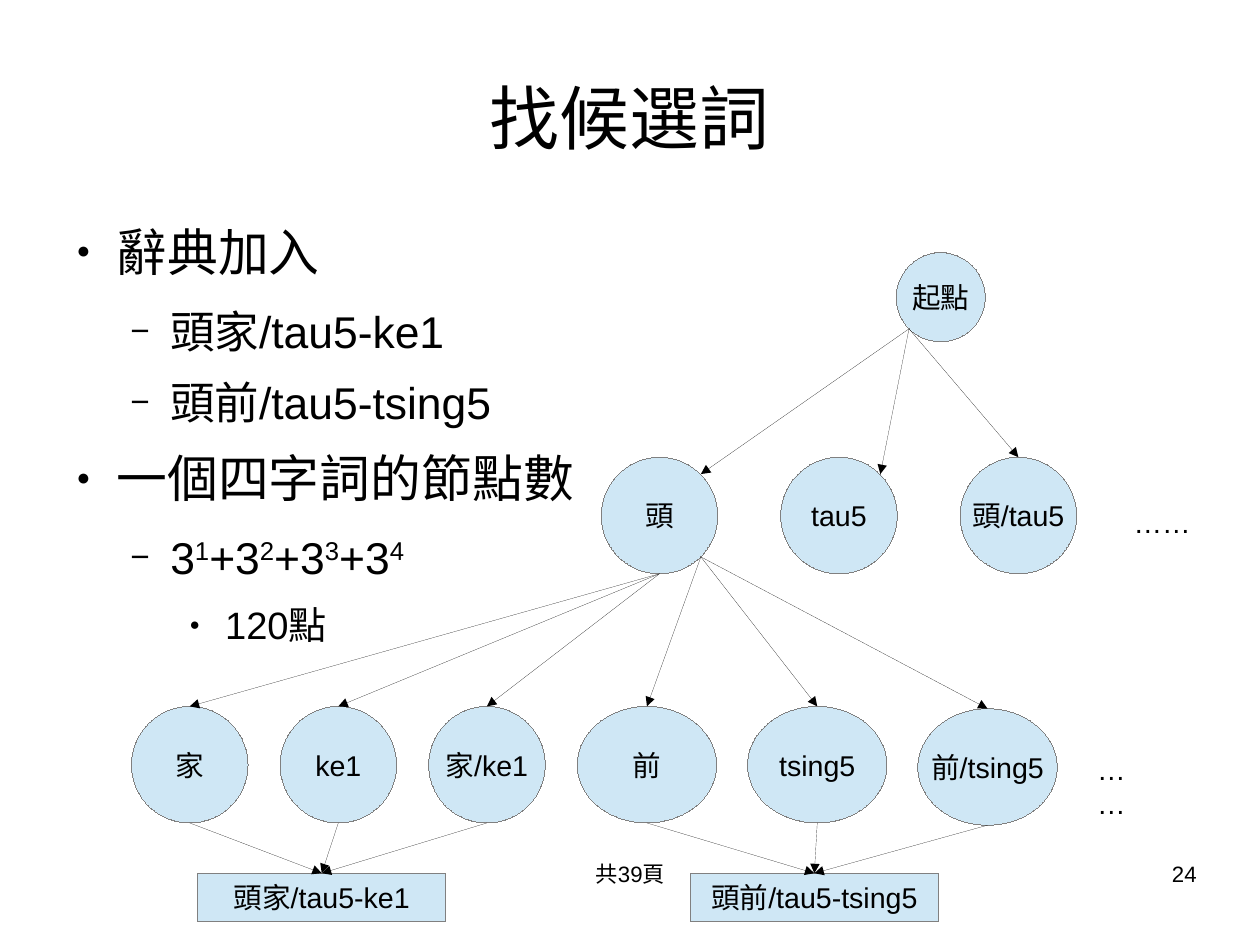
from lxml.etree import SubElement as Sub
from pptx import Presentation
from pptx.dml.color import RGBColor
from pptx.enum.shapes import MSO_CONNECTOR as Link, MSO_SHAPE as Kind
from pptx.enum.text import MSO_ANCHOR as Anchor, PP_ALIGN as Align
from pptx.oxml.ns import qn
from pptx.util import Cm, Inches, Pt

# Grid of half-inch cells
CELL = Inches(0.5)
DIAG = 0.71
FONT = "Arial"
BLACK, GREY, SKY = "000000", "808080", "CFE7F5"

# Per outline level: size, indent, hang, space after, bullet, bullet share
LEVELS = [
    (32, 0.94, 0.7, 14.2, "●", 45),
    (28, 1.88, 0.7, 11.3, "−", 75),
    (24, 2.84, 0.62, 8.5, "●", 45),
]
# "^" switches superscript on and off
POINTS = [
    (0, "辭典加入"),
    (1, "頭家/tau5-ke1"),
    (1, "頭前/tau5-tsing5"),
    (0, "一個四字詞的節點數"),
    (1, "3^1^+3^2^+3^3^+3^4"),
    (2, "120點"),
]


def grid(*cells):
    return [int(c * CELL) for c in cells]


def paint(color, tone):
    color.rgb = RGBColor.from_string(tone)


def write(para, text, size=18, align=Align.LEFT, tone=BLACK):
    para.alignment = align
    for i, part in enumerate(text.split("^")):
        run = para.add_run()
        run.text = part
        run.font.size = Pt(size)
        run.font.name = FONT
        paint(run.font.color, tone)
        if i % 2:
            run._r.get_or_add_rPr().set("baseline", "33000")


def set_frame(frame, pad=(0.2, 0.1), anchor=Anchor.TOP, wrap=True):
    frame.margin_left = frame.margin_right = grid(pad[0])[0]
    frame.margin_top = frame.margin_bottom = grid(pad[1])[0]
    frame.vertical_anchor = anchor
    frame.word_wrap = wrap
    return frame


def label(slide, place, text, pad=(0, 0), anchor=Anchor.TOP, **form):
    box = slide.shapes.add_textbox(*grid(*place))
    frame = set_frame(box.text_frame, pad, anchor)
    write(frame.paragraphs[0], text, **form)


def outline(slide, place, points):
    frame = set_frame(slide.shapes.add_textbox(*grid(*place)).text_frame, (0, 0))
    for i, (level, text) in enumerate(points):
        para = frame.add_paragraph() if i else frame.paragraphs[0]
        size, indent, hang, after, mark, share = LEVELS[level]
        para.level = level
        props = para._p.get_or_add_pPr()
        props.set("marL", str(grid(indent)[0]))
        props.set("indent", str(-grid(hang)[0]))
        Sub(props, qn("a:buSzPct")).set("val", str(share * 1000))
        Sub(props, qn("a:buFont")).set("typeface", FONT)
        Sub(props, qn("a:buChar")).set("char", mark)
        para.space_after = Pt(after)
        write(para, text, size=size)


def hairline(line, tone):
    """Colour a line and give it zero width; return its XML."""
    paint(line.color, tone)
    ln = line._get_or_add_ln()
    ln.set("w", "0")
    return ln


def node(slide, place, text, kind=Kind.OVAL):
    shape = slide.shapes.add_shape(kind, *grid(*place))
    shape.shadow.inherit = False
    shape.fill.solid()
    paint(shape.fill.fore_color, SKY)
    hairline(shape.line, GREY)
    frame = set_frame(shape.text_frame, anchor=Anchor.MIDDLE, wrap=False)
    write(frame.paragraphs[0], text, align=Align.CENTER)
    return shape


def port(shape, dx, dy):
    """Point at shares dx, dy of the half width and height from the centre."""
    return (int(shape.left + shape.width * (1 + dx) / 2),
            int(shape.top + shape.height * (1 + dy) / 2))


def arrow(slide, start, end):
    line = slide.shapes.add_connector(Link.STRAIGHT, *start, *end)
    Sub(hairline(line.line, BLACK), qn("a:tailEnd")).set("type", "triangle")
    Sub(line._element.spPr, qn("a:effectLst"))


def tree(slide):
    top, low = (0, -1), (0, 1)

    # Root and first syllable
    root = node(slide, (15.68, 4.42, 1.56, 1.56), "起點")
    heads = [node(slide, (10.52 + 3.14 * i, 8, 2.04, 2.04), text)
             for i, text in enumerate(["頭", "tau5", "頭/tau5"])]
    for head, side in zip(heads, [(DIAG, -DIAG), (DIAG, -DIAG), top]):
        arrow(slide, port(root, -DIAG, DIAG), port(head, *side))

    # Second syllable and the word each group forms
    groups = [
        (["家", "ke1", "家/ke1"], 2.3, 2.6, 2.04, 0, low, "頭家/tau5-ke1", 3.46),
        (["前", "tsing5", "前/tsing5"], 10.1, 2.98, 2.44, 0.04, (DIAG, DIAG),
         "頭前/tau5-tsing5", 12.08),
    ]
    for names, left, step, width, drop, side, word, edge in groups:
        goal = node(slide, (edge, 15.28, 4.34, 0.84), word, Kind.RECTANGLE)
        for i, name in enumerate(names):
            y = 12.36 + (drop if i == 2 else 0)
            tail = node(slide, (left + step * i, y, width, 2.04), name)
            arrow(slide, port(heads[0], *side), port(tail, *top))
            arrow(slide, port(tail, *low), port(goal, *top))

    # More nodes on each row
    for place in [(19, 13.06, 1.26, 0.88), (19.64, 8.74, 1.52, 0.88)]:
        label(slide, place, "……", pad=(0.2, 0.1))


def main():
    deck = Presentation()
    deck.slide_width = Cm(28)
    deck.slide_height = Cm(21)
    slide = deck.slides.add_slide(deck.slide_layouts[6])

    # Title and outline
    label(slide, (1.1, 0.66, 19.84, 2.76), "找候選詞", size=44,
          align=Align.CENTER, anchor=Anchor.MIDDLE)
    outline(slide, (1.1, 3.86, 19.4, 9.6), POINTS)

    tree(slide)

    # Footer
    label(slide, (7.54, 15.06, 6.98, 1.14), "共39頁", size=14, align=Align.CENTER)
    label(slide, (15.8, 15.06, 5.14, 1.14), "24", size=14, align=Align.RIGHT)
    deck.save("out.pptx")


if __name__ == "__main__":
    main()
